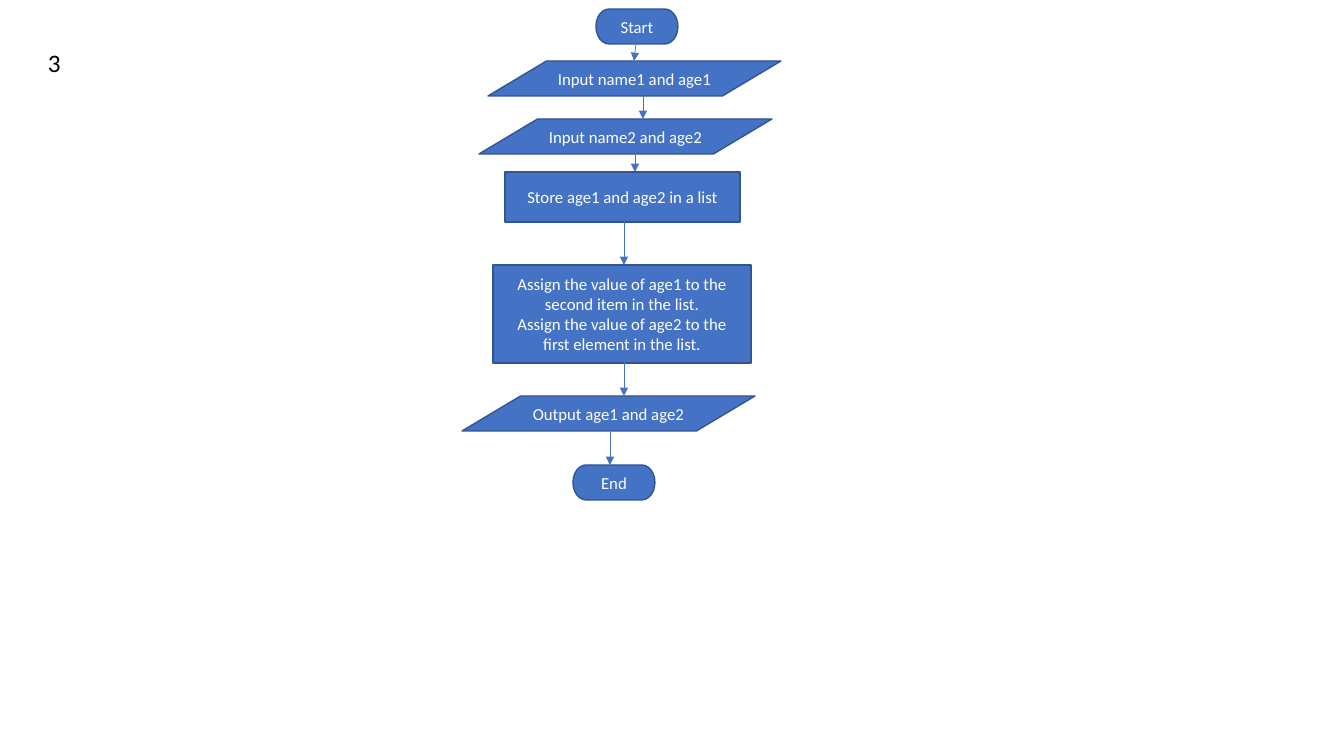
from lxml import etree
from pptx import Presentation
from pptx import util as u
from pptx.dml.color import RGBColor
from pptx.enum import shapes, text
from pptx.oxml import ns

BLUE = RGBColor(0x44, 0x72, 0xC4)
NAVY = RGBColor(0x32, 0x54, 0x91)
WHITE = RGBColor(255, 255, 255)
BLACK = RGBColor(0, 0, 0)
FONT = "Calibri"
KIND = shapes.MSO_SHAPE
TERM = (KIND.FLOWCHART_TERMINATOR, 82, 35)
DATA = (KIND.FLOWCHART_DATA, 293, 35)
STORE = (KIND.FLOWCHART_PROCESS, 235, 50)
SWAP = (KIND.FLOWCHART_PROCESS, 258, 98)

STEPS = [
    (TERM, 134, 0, "Start"),
    (DATA, 26, 52, "Input name1 and age1"),
    (DATA, 17, 110, "Input name2 and age2"),
    (STORE, 43, 163, "Store age1 and age2 in a list"),
    (SWAP, 31, 256, "Assign the value of age1 to the second item in the list.\n"
                    "Assign the value of age2 to the first element in the list."),
    (DATA, 0, 387, "Output age1 and age2"),
    (TERM, 111, 456, "End"),
]
LINKS = [(174, 35, 172), (181, 76, 181), (173, 111, 173),
         (162, 205, 162), (162, 335, 162), (148, 403, 148)]


def px(n):
    return u.Emu(round(n * 914400 / 100.8))


def write(frame, words, size, color, align):
    frame.word_wrap = True
    frame.text = words
    for para in frame.paragraphs:
        para.alignment = align
        para.font.name = FONT
        para.font.size = u.Pt(size)
        para.font.color.rgb = color


def step(slide, kind, x, y, words):
    form, wide, high = kind
    node = slide.shapes.add_shape(form, px(x), px(y), px(wide), px(high))
    node.shadow.inherit = False
    node.fill.solid()
    node.fill.fore_color.rgb = BLUE
    node.line.color.rgb = NAVY
    node.line.width = u.Pt(1)
    node.text_frame.vertical_anchor = text.MSO_ANCHOR.MIDDLE
    write(node.text_frame, words, 12, WHITE, text.PP_ALIGN.CENTER)


def arrow(slide, x1, y1, x2, y2):
    link = slide.shapes.add_connector(
        shapes.MSO_CONNECTOR.STRAIGHT, px(x1), px(y1), px(x2), px(y2))
    link.line.color.rgb = BLUE
    link.line.width = u.Pt(0.5)
    etree.SubElement(link.line._get_or_add_ln(), ns.qn("a:tailEnd"), type="triangle")
    etree.SubElement(link._element.spPr, ns.qn("a:effectLst"))


def flow(slide, left, top):
    for kind, x, y, words in STEPS:
        step(slide, kind, left + x, top + y, words)
    for (x1, y1, x2), (_, _, y2, _) in zip(LINKS, STEPS[1:]):
        arrow(slide, left + x1, top + y1, left + x2, top + y2)


def label(slide, left, top, wide, high):
    box = slide.shapes.add_textbox(px(left), px(top), px(wide), px(high))
    write(box.text_frame, "3", 18, BLACK, text.PP_ALIGN.LEFT)
    box.text_frame.auto_size = text.MSO_AUTO_SIZE.SHAPE_TO_FIT_TEXT


deck = Presentation()
deck.slide_width, deck.slide_height = px(1344), px(756)
page = deck.slides.add_slide(deck.slide_layouts[6])
flow(page, 462, 9)
label(page, 38, 42, 145, 40)
deck.save("out.pptx")
